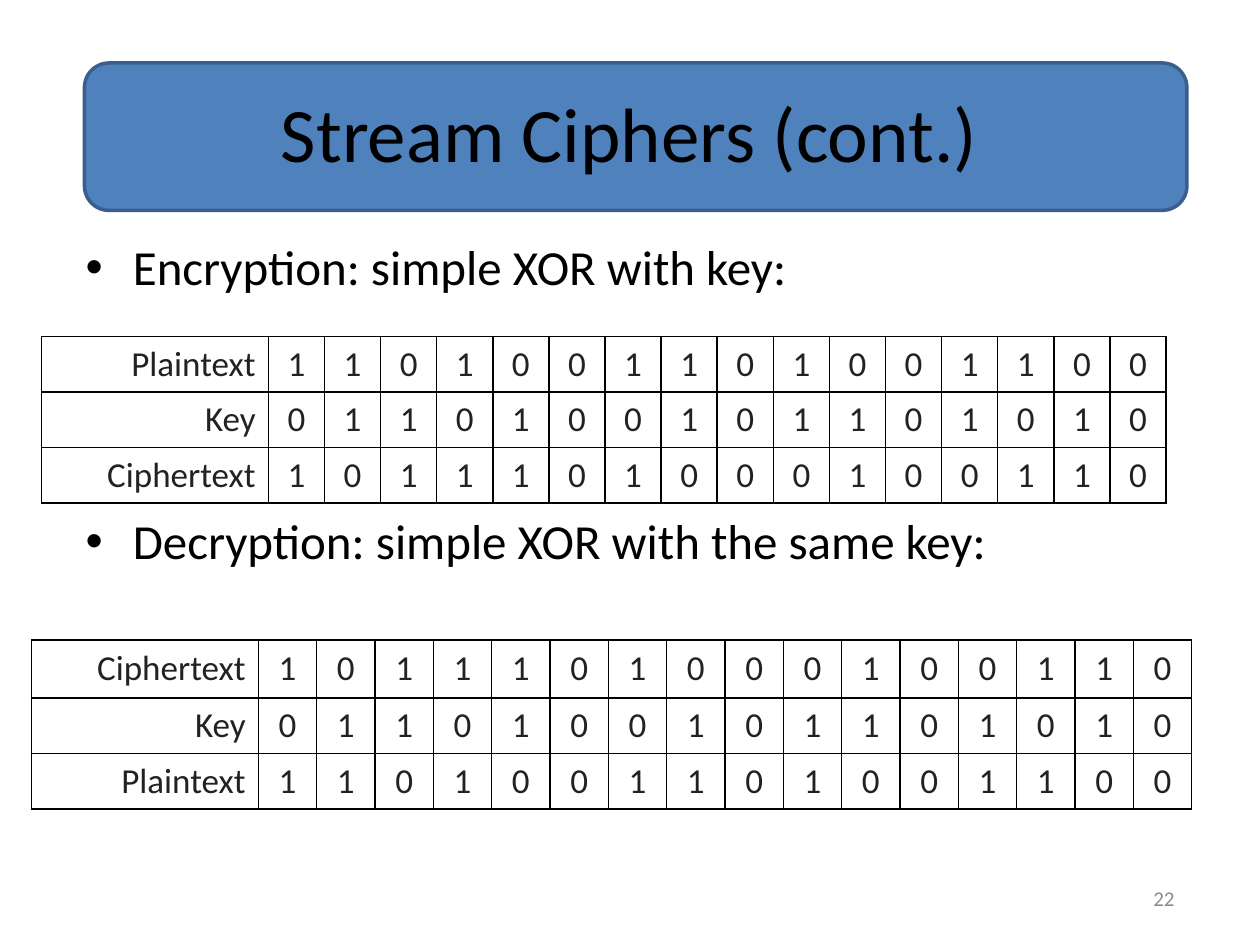
from dataclasses import dataclass

from lxml.etree import SubElement
from pptx import Presentation
from pptx.dml.color import RGBColor
from pptx.enum.shapes import MSO_SHAPE as Shape
from pptx.enum.text import MSO_ANCHOR as Anchor, MSO_AUTO_SIZE as AutoSize, PP_ALIGN as Align
from pptx.oxml.ns import qn
from pptx.util import Inches, Pt


@dataclass(frozen=True)
class Theme:
    font: str = "Calibri"
    banner: str = "4F81BD"
    banner_line: str = "3A5F8C"
    text: str = "000000"
    cell_text: str = "222222"
    border: str = "000000"
    muted: str = "8C8C8C"
    title_size: int = 44
    body_size: int = 28
    cell_size: int = 20
    number_size: int = 12


def format_text(paragraph, text, *, font, size, color, align=None, space_before=0):
    paragraph.text = text
    paragraph.alignment = align
    paragraph.space_before = Pt(space_before)
    paragraph.font.name = font
    paragraph.font.size = Pt(size)
    paragraph.font.color.rgb = RGBColor.from_string(color)


def place(shape, left, top, width, height):
    shape.left, shape.top = Inches(left), Inches(top)
    shape.width, shape.height = Inches(width), Inches(height)


def add_borders(cell, color, width):
    properties = cell._tc.get_or_add_tcPr()
    for side in ("a:lnL", "a:lnR", "a:lnT", "a:lnB"):
        line = SubElement(properties, qn(side), w=str(Pt(width)))
        fill = SubElement(line, qn("a:solidFill"))
        SubElement(fill, qn("a:srgbClr"), val=color)


class SlideBuilder:
    def __init__(self, presentation, theme):
        self.theme = theme
        self.slide = presentation.slides.add_slide(presentation.slide_layouts[1])

    def set_text(self, paragraph, text, size, color, **options):
        format_text(paragraph, text, font=self.theme.font, size=size, color=color, **options)

    def banner(self, *box):
        shape = self.slide.shapes.add_shape(Shape.ROUNDED_RECTANGLE, *map(Inches, box))
        shape.shadow.inherit = False
        shape.fill.solid()
        shape.fill.fore_color.rgb = RGBColor.from_string(self.theme.banner)
        shape.line.color.rgb = RGBColor.from_string(self.theme.banner_line)
        shape.line.width = Pt(2)
        self.slide.shapes._spTree.insert(2, shape._element)

    def title(self, text, *box):
        shape = self.slide.shapes.title
        place(shape, *box)
        shape.text_frame.vertical_anchor = Anchor.MIDDLE
        self.set_text(shape.text_frame.paragraphs[0], text, self.theme.title_size,
                      self.theme.text, align=Align.CENTER)

    def bullets(self, items, gap, *box):
        shape = self.slide.placeholders[1]
        place(shape, *box)
        frame = shape.text_frame
        frame.auto_size = AutoSize.NONE
        for index, item in enumerate(items):
            paragraph = frame.add_paragraph() if index else frame.paragraphs[0]
            self.set_text(paragraph, item, self.theme.body_size, self.theme.text,
                          space_before=gap if index else 0)

    def bit_table(self, rows, left, top, width, heights, label_width=1.8):
        bit_count = len(rows[0][1])
        frame = self.slide.shapes.add_table(
            len(rows), bit_count + 1, Inches(left), Inches(top),
            Inches(width), Inches(sum(heights)))
        table = frame.table
        table.first_row = table.horz_banding = False
        bit_width = (width - label_width) / bit_count
        for index, column in enumerate(table.columns):
            column.width = Inches(bit_width if index else label_width)
        for row, height, (label, bits) in zip(table.rows, heights, rows):
            row.height = Inches(height)
            for index, (cell, text) in enumerate(zip(row.cells, [label, *bits])):
                add_borders(cell, self.theme.border, 1)
                cell.fill.background()
                cell.vertical_anchor = Anchor.MIDDLE
                self.set_text(cell.text_frame.paragraphs[0], text, self.theme.cell_size,
                              self.theme.cell_text,
                              align=Align.CENTER if index else Align.RIGHT)

    def slide_number(self, text, *box):
        frame = self.slide.shapes.add_textbox(*map(Inches, box)).text_frame
        frame.word_wrap = True
        frame.vertical_anchor = Anchor.MIDDLE
        self.set_text(frame.paragraphs[0], text, self.theme.number_size,
                      self.theme.muted, align=Align.RIGHT)


def main():
    presentation = Presentation()
    presentation.slide_width, presentation.slide_height = Inches(10), Inches(7.5)
    builder = SlideBuilder(presentation, Theme())

    plaintext = ("Plaintext", "1101001101001100")
    key = ("Key", "0110100101101010")
    ciphertext = ("Ciphertext", "1011101000100110")

    builder.banner(0.67, 0.5, 8.75, 1.17)
    builder.title("Stream Ciphers (cont.)", 0.58, 0.42, 8.83, 1.25)
    builder.bullets(
        ["Encryption: simple XOR with key:", "Decryption: simple XOR with the same key:"],
        123, 0.58, 1.83, 8.31, 5)
    builder.bit_table([plaintext, key, ciphertext], 0.33, 2.67, 8.93, [0.44, 0.44, 0.44])
    builder.bit_table([ciphertext, key, plaintext], 0.25, 5.08, 9.21, [0.46, 0.44, 0.44])
    builder.slide_number("22", 7.17, 6.92, 2.25, 0.42)
    presentation.save("out.pptx")


if __name__ == "__main__":
    main()
